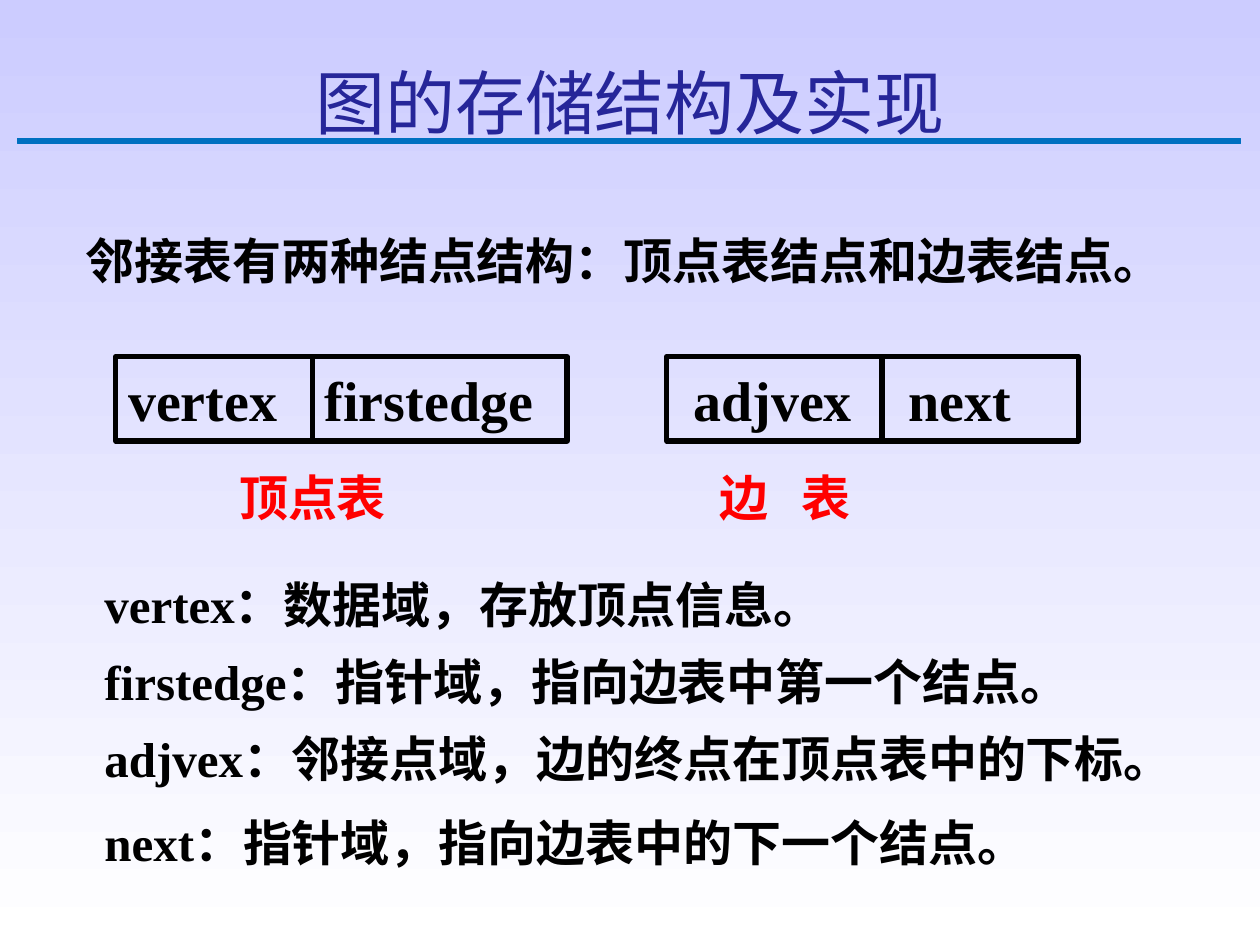
from lxml import etree
from pptx import Presentation
from pptx.dml.color import RGBColor
from pptx.enum.shapes import MSO_SHAPE
from pptx.enum.text import MSO_ANCHOR, PP_ALIGN
from pptx.oxml.ns import qn
from pptx.util import Pt

RECT = MSO_SHAPE.RECTANGLE
TOP, MID = MSO_ANCHOR.TOP, MSO_ANCHOR.MIDDLE
LEFT, CENTER, JUST = PP_ALIGN.LEFT, PP_ALIGN.CENTER, PP_ALIGN.JUSTIFY
HAN, ROMAN = "Noto Sans CJK SC", "Times New Roman"
COLORS = {
    "sky": "CCCCFF", "white": "FFFFFF", "bar": "0070C0",
    "title": "262699", "ink": "000000", "red": "FF0000",
}
FIELDS = [
    ("vertex", "：数据域，存放顶点信息。", 0),
    ("firstedge", "：指针域，指向边表中第一个结点。", 10.5),
    ("adjvex", "：邻接点域，边的终点在顶点表中的下标。", 10.5),
    ("next", "：指针域，指向边表中的下一个结点。", 14),
]
CELLS = [
    ("vertex", 66.2, 112.3, 7.2),
    ("firstedge", 178.5, 145.5, 7.2),
    ("adjvex", 381, 123, 15.2),
    ("next", 504, 112.5, 15.2),
]


def color(name):
    return RGBColor.from_string(COLORS[name])


def add_back(slide):
    fill = slide.background.fill
    fill.gradient()
    fill.gradient_angle = 270
    for stop, name, place in zip(fill.gradient_stops, ("sky", "white"), (0, 1)):
        stop.color.rgb = color(name)
        stop.position = place


def add_rect(slide, x, y, w, h, line, width, fill=None):
    shape = slide.shapes.add_shape(RECT, Pt(x), Pt(y), Pt(w), Pt(h))
    shape.shadow.inherit = False
    if fill:
        shape.fill.solid()
        shape.fill.fore_color.rgb = color(fill)
    else:
        shape.fill.background()
    shape.line.color.rgb = color(line)
    shape.line.width = Pt(width)
    return shape


def set_frame(frame, side, top, base, anchor=TOP):
    frame.word_wrap = True
    frame.vertical_anchor = anchor
    frame.margin_left = frame.margin_right = Pt(side)
    frame.margin_top, frame.margin_bottom = Pt(top), Pt(base)


def add_box(slide, x, y, w, h, side, top, base):
    frame = slide.shapes.add_textbox(Pt(x), Pt(y), Pt(w), Pt(h)).text_frame
    set_frame(frame, side, top, base)
    return frame


def add_run(para, text, face):
    run = para.add_run()
    run.text = text
    run.font.name = face
    if face == HAN:
        etree.SubElement(run._r.get_or_add_rPr(), qn("a:ea"), typeface=face)


def set_para(para, size, align=JUST, ink="ink", bold=True, gap=0):
    para.alignment = align
    para.space_before = Pt(gap)
    para.font.size = Pt(size)
    para.font.bold = bold
    para.font.color.rgb = color(ink)


def add_line(frame, text, size, **style):
    para = frame.paragraphs[0]
    para.line_spacing = Pt(size * 1.2)
    set_para(para, size, **style)
    add_run(para, text, HAN)


def add_cell(slide, text, x, w, inset):
    frame = add_rect(slide, x, 203.8, w, 48.2, "ink", 3).text_frame
    set_frame(frame, 7.2, 1.4, 0.7, MID)
    frame.margin_left = Pt(inset)
    para = frame.paragraphs[0]
    set_para(para, 32)
    add_run(para, text, ROMAN)


def add_names(slide):
    frame = add_box(slide, 77.8, 264.2, 540, 41.8, 1.4, 3, 0.7)
    props = frame.paragraphs[0]._p.get_or_add_pPr()
    tabs = etree.SubElement(props, qn("a:tabLst"))
    for stop in (57.5, 332, 379):
        etree.SubElement(tabs, qn("a:tab"), pos=str(int(Pt(stop))), algn="l")
    add_line(frame, "\t顶点表\t边\t表", 28, align=LEFT, ink="red")


def add_fields(slide):
    frame = add_box(slide, 52.6, 321.8, 642.2, 177.1, 7.2, 6.6, 3.6)
    for i, (name, text, gap) in enumerate(FIELDS):
        para = frame.add_paragraph() if i else frame.paragraphs[0]
        para.line_spacing = Pt(33.6)
        set_para(para, 28, gap=gap)
        add_run(para, name, ROMAN)
        add_run(para, text, HAN)


def main():
    deck = Presentation()
    deck.slide_width, deck.slide_height = Pt(720), Pt(540)
    slide = deck.slides.add_slide(deck.slide_layouts[6])
    add_back(slide)
    add_rect(slide, 10, 79.2, 699, 2.9, "bar", 0.25, "bar")
    head = add_box(slide, 41.8, 126, 648, 41, 7.2, 5.6, 3.6)
    add_line(head, "邻接表有两种结点结构：顶点表结点和边表结点。", 28, align=LEFT)
    for cell in CELLS:
        add_cell(slide, *cell)
    add_names(slide)
    add_fields(slide)
    title = add_box(slide, 0, 25.2, 720, 55.4, 7.2, 8.6, 3.6)
    add_line(title, "图的存储结构及实现", 40, align=CENTER, ink="title", bold=False)
    deck.save("out.pptx")


if __name__ == "__main__":
    main()
